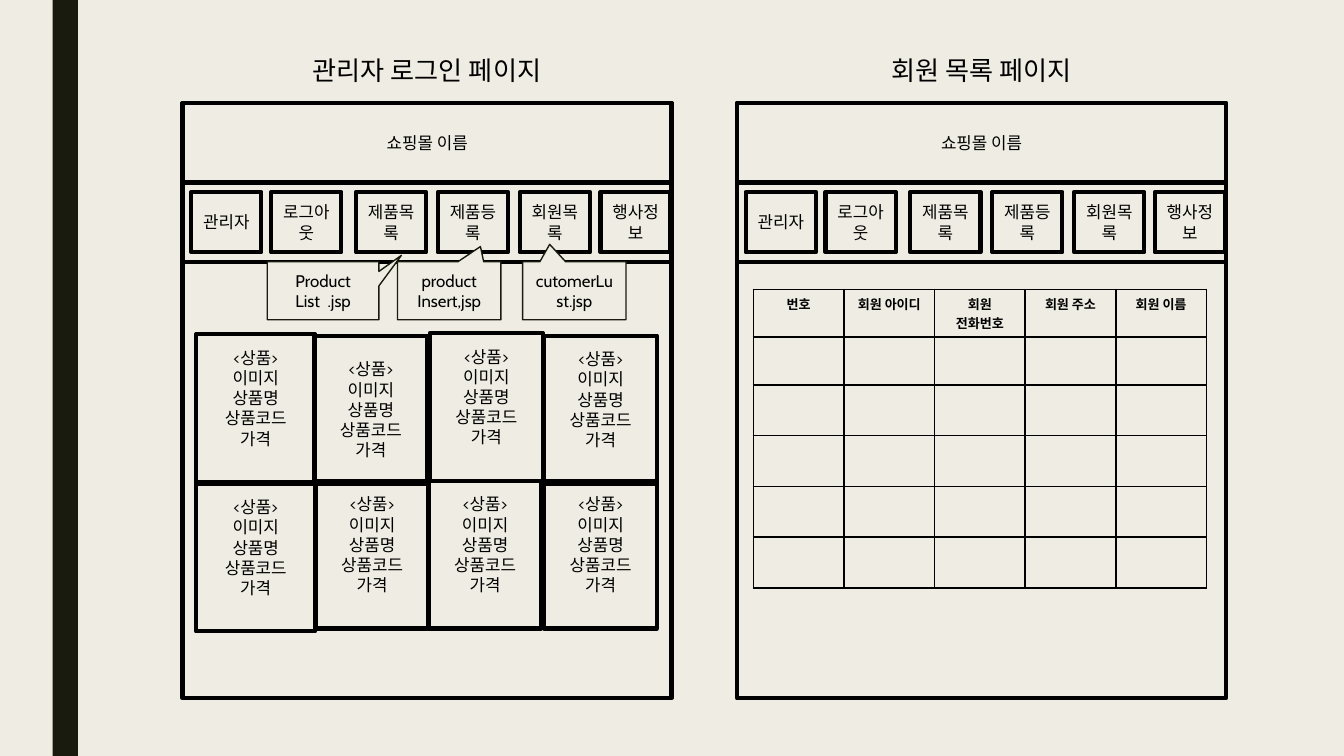
from lxml import etree
from pptx import Presentation
from pptx.dml.color import RGBColor
from pptx.enum.shapes import MSO_SHAPE
from pptx.enum.text import MSO_ANCHOR, PP_ALIGN
from pptx.oxml.ns import qn
from pptx.util import Pt

RECT = MSO_SHAPE.RECTANGLE
CALLOUT = MSO_SHAPE.RECTANGULAR_CALLOUT
CENTER = PP_ALIGN.CENTER
MIDDLE, TOP = MSO_ANCHOR.MIDDLE, MSO_ANCHOR.TOP

COLORS = {"paper": "EFEDE3", "dark": "191B0E", "ink": "000000"}
FONT = "Cabin"
MENU = ["관리자", "로그아웃", "제품목록", "제품등록", "회원목록", "행사정보"]
TABS = [4.7, 47.5, 92.9, 136.8, 180.7, 223.9]
ITEM = "<상품>\n이미지\n상품명\n상품코드\n가격"
CARDS = [
    (7.2, 123.8, 64, 13.5), (70.6, 124.6, 60.5, 2.6),
    (132.5, 123.1, 60.5, 13.5), (193.7, 124.6, 60.5, 13.5),
    (7.2, 203.8, 64, 13.5), (71.3, 202.3, 60.5, 13.5),
    (131.8, 202.3, 60.5, 13.5), (193.7, 202.3, 60.5, 13.5),
]
NOTES = [
    (45.4, 59.8, "Product\nList  .jsp", 0.702, -0.613),
    (115.2, 55.4, "product\nInsert,jsp", 0.302, -0.764),
    (182.2, 55.4, "cutomerLust.jsp", -0.238, -0.802),
]
HEADS = ["번호", "회원 아이디", "회원 전화번호", "회원 주소", "회원 이름"]
ROWS = [25.6, 25.6, 27.2, 27.2, 27.2, 27.2]


def color(name):
    return RGBColor.from_string(COLORS[name])


def write(frame, text, size, insets, anchor):
    frame.word_wrap = True
    frame.vertical_anchor = anchor
    frame.margin_left, frame.margin_top, frame.margin_right, frame.margin_bottom = map(Pt, insets)
    frame.text = text
    for para in frame.paragraphs:
        para.alignment = CENTER
        for run in para.runs:
            run.font.size = Pt(size)
            run.font.name = FONT
            run.font.color.rgb = color("ink")


def add_box(slide, x, y, w, h, text="", base=2.6):
    box = slide.shapes.add_shape(RECT, Pt(x), Pt(y), Pt(w), Pt(h))
    box.shadow.inherit = False
    box.fill.background()
    box.line.color.rgb = color("ink")
    box.line.width = Pt(2.25)
    if text:
        write(box.text_frame, text, 9, (5.2, 2.6, 5.2, base), MIDDLE)


def add_bar(slide, x, y, w, h):
    bar = slide.shapes.add_shape(RECT, Pt(x), Pt(y), Pt(w), Pt(h))
    bar.shadow.inherit = False
    bar.fill.solid()
    bar.fill.fore_color.rgb = color("dark")
    bar.line.fill.background()


def add_page(slide, x, y, w, h, title):
    label = slide.shapes.add_textbox(Pt(x), Pt(y - 28.8), Pt(w), Pt(21.6))
    write(label.text_frame, title, 14, (5.2, 2.6, 5.2, 2.6), TOP)
    band = 42.5
    add_box(slide, x, y, w, h)
    add_box(slide, x, y, w, band, "쇼핑몰 이름")
    add_box(slide, x, y + band, w, band)
    for left, name in zip(TABS, MENU):
        add_box(slide, x + left, y + band + 5, 37.6, 32.4, name)


def add_cards(slide, x, y):
    for left, top, wide, base in CARDS:
        add_box(slide, x + left, y + top, wide, 79.2, ITEM, base)


def add_notes(slide, x, y):
    for left, wide, text, tip_x, tip_y in NOTES:
        note = slide.shapes.add_shape(CALLOUT, Pt(x + left), Pt(y + 85), Pt(wide), Pt(31))
        note.shadow.inherit = False
        note.adjustments[0] = tip_x
        note.adjustments[1] = tip_y
        note.fill.solid()
        note.fill.fore_color.rgb = color("paper")
        note.line.color.rgb = color("dark")
        note.line.width = Pt(0.75)
        write(note.text_frame, text, 9, (7.2,) * 4, MIDDLE)


def add_edges(cell):
    props = cell._tc.get_or_add_tcPr()
    for at, side in enumerate(("lnL", "lnR", "lnT", "lnB")):
        line = etree.Element(qn("a:" + side), w=str(Pt(1)))
        fill = etree.SubElement(line, qn("a:solidFill"))
        etree.SubElement(fill, qn("a:srgbClr"), val=COLORS["ink"])
        props.insert(at, line)


def add_members(slide, x, y, w):
    frame = slide.shapes.add_table(len(ROWS), len(HEADS), Pt(x), Pt(y), Pt(w), Pt(sum(ROWS)))
    table = frame.table
    table.first_row = False
    table.horz_banding = False
    for col in table.columns:
        col.width = Pt(w / len(HEADS))
    for row, high in zip(table.rows, ROWS):
        row.height = Pt(high)
    for cell in table.iter_cells():
        cell.fill.background()
        cell.margin_left = cell.margin_right = Pt(5.4)
        cell.margin_top = cell.margin_bottom = Pt(2.7)
        add_edges(cell)
        cell.text_frame.paragraphs[0].font.size = Pt(7)
    for at, head in enumerate(HEADS):
        cell = table.cell(0, at)
        cell.text = head
        para = cell.text_frame.paragraphs[0]
        para.alignment = CENTER
        font = para.runs[0].font
        font.size = Pt(7)
        font.name = "Arial"
        font.bold = True
        font.color.rgb = color("ink")


def main():
    deck = Presentation()
    deck.slide_width, deck.slide_height = Pt(720), Pt(405)
    slide = deck.slides.add_slide(deck.slide_layouts[6])
    slide.background.fill.solid()
    slide.background.fill.fore_color.rgb = color("paper")
    top, wide, high = 55.3, 262, 318.8
    left, right = 97.8, 394.8
    add_bar(slide, 28.2, 0, 13.6, 405)
    add_page(slide, right, top, wide, high, "회원 목록 페이지")
    add_members(slide, right + 8.8, top + 99.7, 242.7)
    add_page(slide, left, top, wide, high, "관리자 로그인 페이지")
    add_cards(slide, left, top)
    add_notes(slide, left, top)
    deck.save("out.pptx")


if __name__ == "__main__":
    main()
